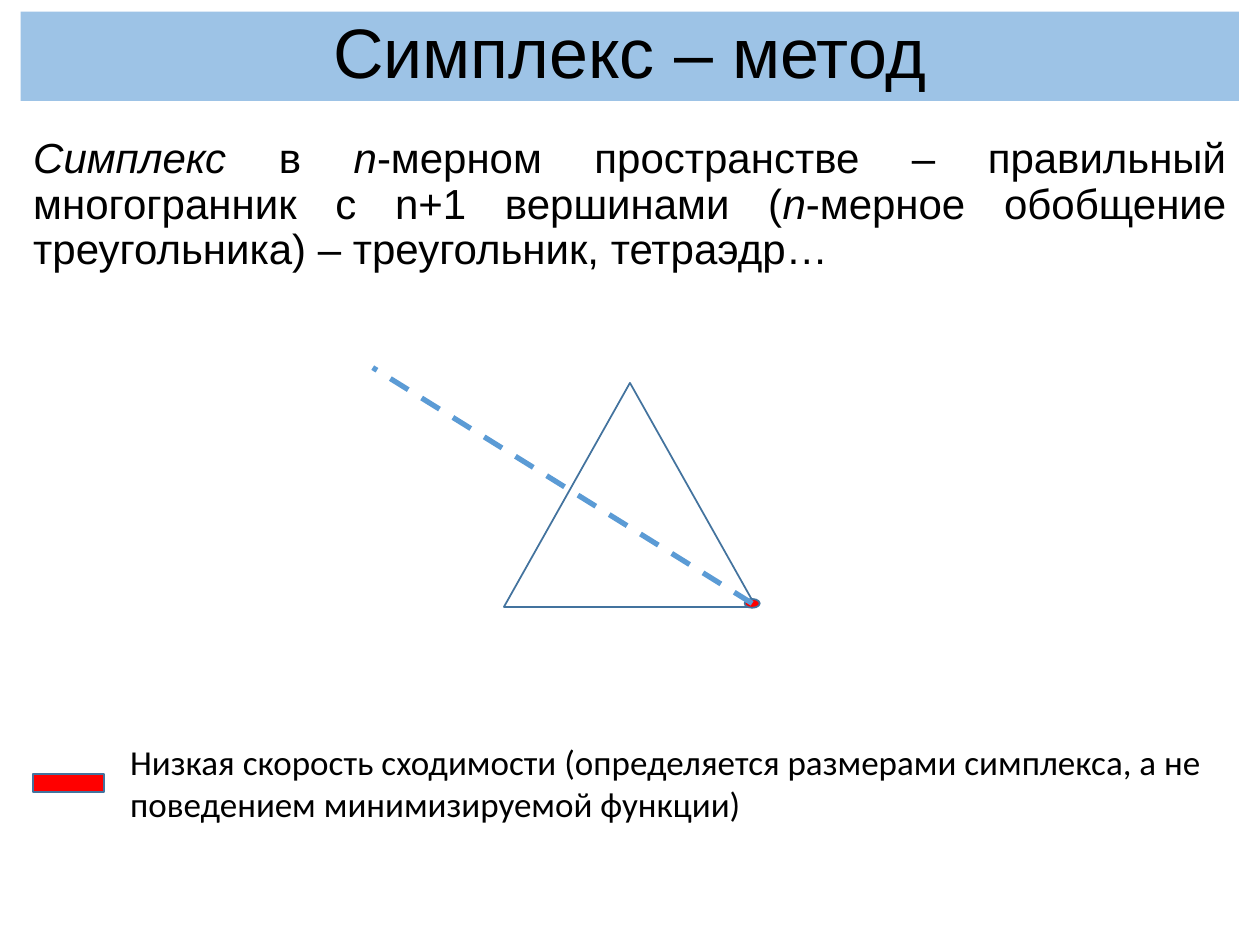
import collections
import dataclasses

import pptx
import pptx.dml.color
import pptx.enum.dml
import pptx.enum.shapes
import pptx.enum.text
import pptx.oxml.xmlchemy
import pptx.util

Pt = pptx.util.Pt
SHAPE = pptx.enum.shapes.MSO_SHAPE
ALIGN = pptx.enum.text.PP_ALIGN
Box = collections.namedtuple("Box", "left top width height")


@dataclasses.dataclass(frozen=True)
class Theme:
    banner: str = "9DC3E6"
    outline: str = "43739E"
    dash: str = "5B9BD5"
    accent: str = "FF0000"
    text: str = "000000"
    heading_font: str = "Arial"
    note_font: str = "Calibri"
    title_size: int = 40
    body_size: int = 24
    note_size: int = 20


THEME = Theme()


def rgb(value):
    return pptx.dml.color.RGBColor.from_string(value)


def place(shape, box):
    shape.left, shape.top, shape.width, shape.height = map(Pt, box)


def style_span(span, font, size, italic=None):
    span.font.name = font
    span.font.size = Pt(size)
    span.font.italic = italic
    span.font.color.rgb = rgb(THEME.text)


def add_figure(page, kind, box, fill=None):
    """Add an outlined preset shape, hollow unless a fill is given."""
    shape = page.shapes.add_shape(kind, *map(Pt, box))
    shape.shadow.inherit = False
    if fill:
        shape.fill.solid()
        shape.fill.fore_color.rgb = rgb(fill)
    else:
        shape.fill.background()
    shape.line.color.rgb = rgb(THEME.outline)
    shape.line.width = Pt(1)
    return shape


def add_title(page, box, text):
    title = page.shapes.title
    place(title, box)
    title.fill.solid()
    title.fill.fore_color.rgb = rgb(THEME.banner)
    frame = title.text_frame
    frame.text = text
    frame.auto_size = pptx.enum.text.MSO_AUTO_SIZE.NONE
    frame.vertical_anchor = pptx.enum.text.MSO_ANCHOR.MIDDLE
    para = frame.paragraphs[0]
    para.alignment = ALIGN.CENTER
    para.line_spacing = 0.9
    style_span(para.runs[0], THEME.heading_font, THEME.title_size)


def add_definition(page, box, pieces):
    """Fill the body with (text, italic) pieces as one justified paragraph."""
    body = page.placeholders[1]
    place(body, box)
    frame = body.text_frame
    frame.auto_size = pptx.enum.text.MSO_AUTO_SIZE.NONE
    para = frame.paragraphs[0]
    para.alignment = ALIGN.JUSTIFY
    para.line_spacing = 0.9
    para.space_before = Pt(10)
    properties = para._p.get_or_add_pPr()
    properties.set("marL", "0")
    properties.set("indent", "0")
    properties.append(pptx.oxml.xmlchemy.OxmlElement("a:buNone"))
    for text, italic in pieces:
        span = para.add_run()
        span.text = text
        style_span(span, THEME.heading_font, THEME.body_size, italic)


def add_simplex(page, box):
    """Draw the triangle, its worst vertex and the dashed reflection line."""
    add_figure(page, SHAPE.ISOSCELES_TRIANGLE, box)
    vertex_x = box.left + box.width - 2.2
    vertex_y = box.top + box.height - 2
    dot_width, dot_height = 8.64, 5.04
    dot = Box(vertex_x - dot_width / 2, vertex_y - dot_height / 2,
              dot_width, dot_height)
    add_figure(page, SHAPE.OVAL, dot, THEME.accent)
    line = page.shapes.add_connector(
        pptx.enum.shapes.MSO_CONNECTOR.STRAIGHT, Pt(vertex_x), Pt(vertex_y),
        Pt(box.left - 75), Pt(box.top - 8.7))
    line.line.color.rgb = rgb(THEME.dash)
    line.line.width = Pt(3)
    line.line.dash_style = pptx.enum.dml.MSO_LINE.DASH
    line._element.spPr.append(pptx.oxml.xmlchemy.OxmlElement("a:effectLst"))


def add_drawback(page, box, text):
    """Put a red minus sign to the left of a note."""
    sign_width = 55
    minus = Box(box.left, box.top + 5.7, sign_width, 44)
    add_figure(page, SHAPE.MATH_MINUS, minus, THEME.accent)
    note = page.shapes.add_textbox(
        Pt(box.left + sign_width + 0.5), Pt(box.top),
        Pt(box.width - sign_width - 0.5), Pt(box.height))
    frame = note.text_frame
    frame.word_wrap = True
    frame.text = text
    frame.auto_size = pptx.enum.text.MSO_AUTO_SIZE.SHAPE_TO_FIT_TEXT
    style_span(frame.paragraphs[0].runs[0], THEME.note_font, THEME.note_size)


def main():
    deck = pptx.Presentation()
    deck.slide_width, deck.slide_height = Pt(720), Pt(540)
    page = deck.slides.add_slide(deck.slide_layouts[1])
    add_title(page, Box(11.8, 6.6, 696.2, 51.1), "Симплекс – метод")
    add_definition(page, Box(11.8, 74.9, 696.2, 342.7), [
        ("Симплекс", True),
        (" в ", False),
        ("n", True),
        ("-мерном пространстве – правильный многогранник с n+1 вершинами (",
         False),
        ("n", True),
        ("-мерное обобщение треугольника) – треугольник, тетраэдр…", False),
    ])
    add_simplex(page, Box(288, 218.8, 144, 128))
    add_drawback(
        page, Box(11.8, 419.8, 696.7, 55.4),
        "Низкая скорость сходимости (определяется размерами симплекса, "
        "а не поведением минимизируемой функции)")
    deck.save("out.pptx")


if __name__ == "__main__":
    main()
